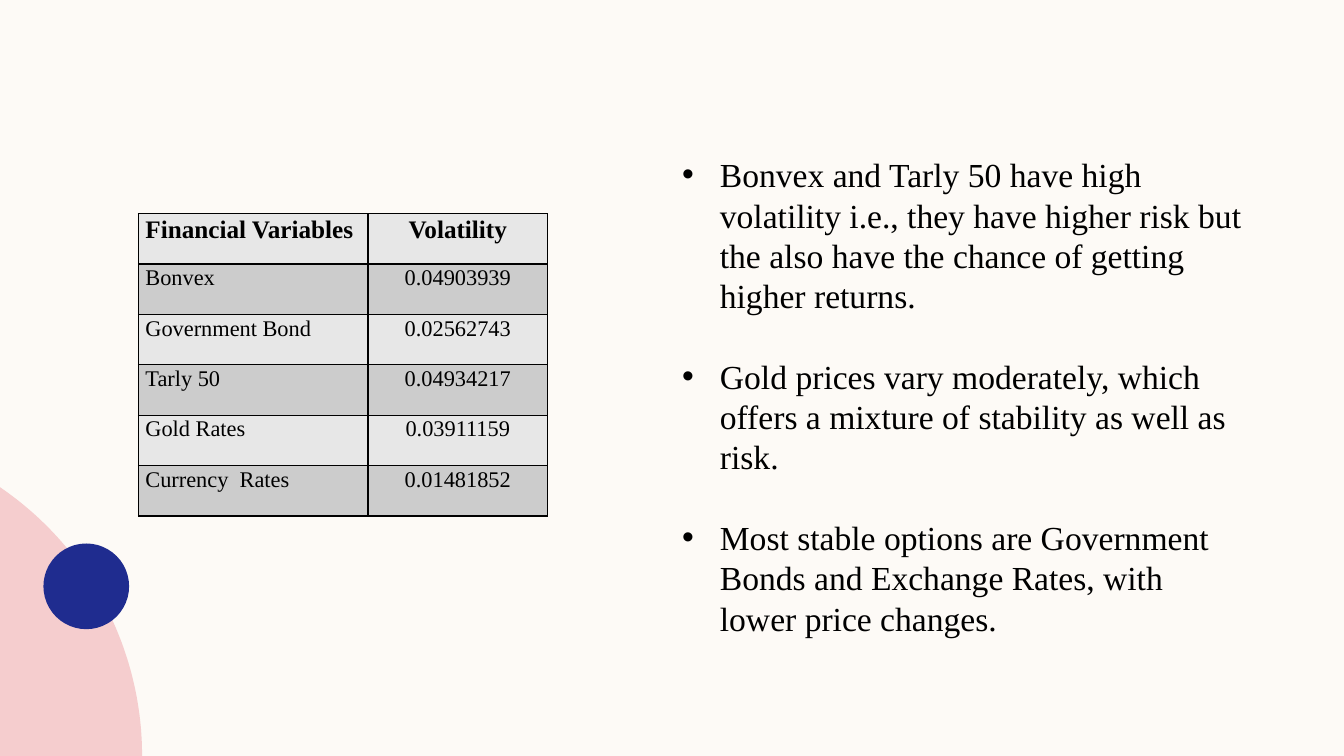
from math import asin, cos, sin

from lxml.etree import SubElement
from pptx import Presentation
from pptx.dml.color import RGBColor
from pptx.enum.shapes import MSO_SHAPE
from pptx.enum.text import MSO_ANCHOR, PP_ALIGN
from pptx.oxml.ns import qn
from pptx.util import Pt

CREAM = RGBColor(0xFD, 0xFA, 0xF6)
PINK = RGBColor(0xF5, 0xCD, 0xCE)
NAVY = RGBColor(0x1F, 0x2C, 0x8F)
LIGHT = RGBColor(0xE7, 0xE7, 0xE7)
GREY = RGBColor(0xCC, 0xCC, 0xCC)
BLACK = RGBColor(0, 0, 0)
FONT = "Times New Roman"

ROWS = [
    ("Financial Variables", "Volatility"),
    ("Bonvex", "0.04903939"),
    ("Government Bond", "0.02562743"),
    ("Tarly 50", "0.04934217"),
    ("Gold Rates", "0.03911159"),
    ("Currency  Rates", "0.01481852"),
]
# The last words of each point are held together by no-break spaces.
POINTS = [
    "Bonvex and Tarly 50 have high volatility i.e., they have higher risk but "
    "the also have the chance of getting higher returns.",
    "Gold prices vary moderately, which offers a mixture of stability "
    "as well as risk.",
    "Most stable options are Government Bonds and Exchange Rates, with "
    "lower price changes.",
]


def add_run(para, text, size, bold=False):
    run = para.add_run()
    run.text = text
    font = run.font
    font.name, font.size, font.bold = FONT, Pt(size), bold
    font.color.rgb = BLACK


def paint(shape, color):
    shape.shadow.inherit = False
    shape.fill.solid()
    shape.fill.fore_color.rgb = color
    shape.line.fill.background()


def add_decor(slide, left, top, width, height):
    """Draw a circle segment in the box's corner and a dot on its edge."""
    radius = (width ** 2 + height ** 2) / (2 * width)
    mid, base = left + width - radius, top + height
    sweep = asin(height / radius)
    steps = 60
    arc = [(Pt(mid + radius * cos(sweep * i / steps)),
            Pt(base - radius * sin(sweep * i / steps)))
           for i in range(steps + 1)]
    outline = slide.shapes.build_freeform(Pt(left), Pt(base))
    outline.add_line_segments(arc, close=True)
    paint(outline.convert_to_shape(), PINK)

    dot = slide.shapes.add_shape(MSO_SHAPE.OVAL, Pt(left + 31), Pt(top + 40.2),
                                 Pt(61.2), Pt(61.2))
    paint(dot, NAVY)


def add_border(cell):
    props = cell._tc.get_or_add_tcPr()
    for place, side in enumerate(("a:lnL", "a:lnR", "a:lnT", "a:lnB")):
        line = props.makeelement(qn(side), {"w": str(Pt(1))})
        fill = SubElement(line, qn("a:solidFill"))
        SubElement(fill, qn("a:srgbClr"), val=str(BLACK))
        props.insert(place, line)


def add_grid(slide, left, top, width, height):
    table = slide.shapes.add_table(len(ROWS), 2, Pt(left), Pt(top),
                                   Pt(width), Pt(height)).table
    first = 164
    table.columns[0].width = Pt(first)
    table.columns[1].width = Pt(width - first)
    for i, row in enumerate(ROWS):
        for j, text in enumerate(row):
            cell = table.cell(i, j)
            cell.margin_left = cell.margin_right = Pt(5)
            cell.margin_top = cell.margin_bottom = 0
            cell.fill.solid()
            cell.fill.fore_color.rgb = GREY if i % 2 else LIGHT
            add_border(cell)
            para = cell.text_frame.paragraphs[0]
            para.alignment = PP_ALIGN.CENTER if j else PP_ALIGN.LEFT
            para.line_spacing = 1.07
            para.space_after = Pt(8)
            add_run(para, text, 16 if i else 18, bold=i == 0)


def add_bullet(para, indent):
    props = para._p.get_or_add_pPr()
    props.set("marL", str(Pt(indent)))
    props.set("indent", str(-Pt(indent)))
    SubElement(props, qn("a:buFont"), typeface="Arial")
    SubElement(props, qn("a:buChar"), char="•")


def add_list(slide, left, top, width, height):
    body = slide.placeholders[1]
    body.left, body.top = Pt(left), Pt(top)
    body.width, body.height = Pt(width), Pt(height)
    frame = body.text_frame
    frame.word_wrap = True
    frame.vertical_anchor = MSO_ANCHOR.TOP
    for i, text in enumerate(POINTS):
        para = frame.add_paragraph() if i else frame.paragraphs[0]
        para.line_spacing = 1.0
        para.space_before = Pt(28.8 if i else 0)
        para.space_after = Pt(0)
        add_bullet(para, 27)
        add_run(para, text, 24)


def main():
    deck = Presentation()
    deck.slide_width, deck.slide_height = Pt(960), Pt(540)
    slide = deck.slides.add_slide(deck.slide_layouts[1])
    title = slide.shapes.title
    title.element.getparent().remove(title.element)
    slide.background.fill.solid()
    slide.background.fill.fore_color.rgb = CREAM
    add_decor(slide, 0, 348, 101.5, 192)
    add_grid(slide, 98.9, 152.6, 292.2, 216)
    add_list(slide, 480, 106.5, 415, 356.5)
    deck.save("out.pptx")


if __name__ == "__main__":
    main()
